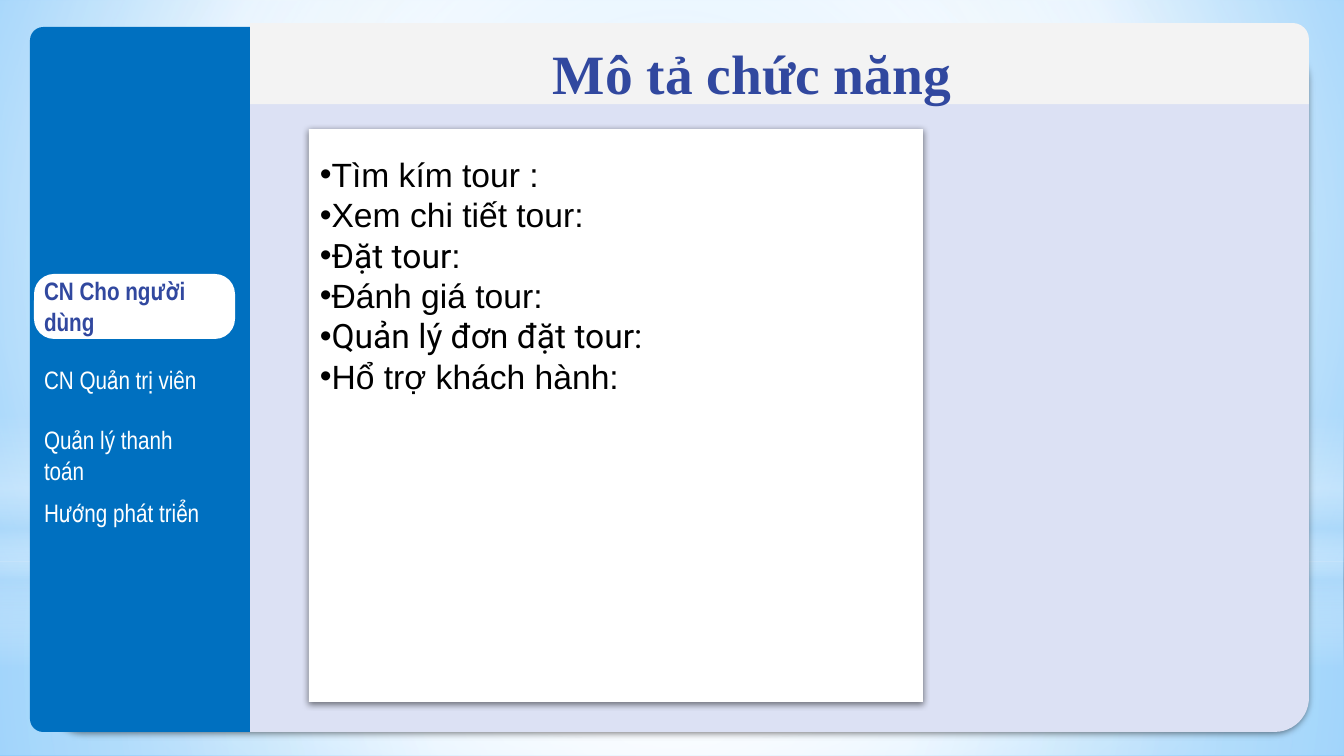
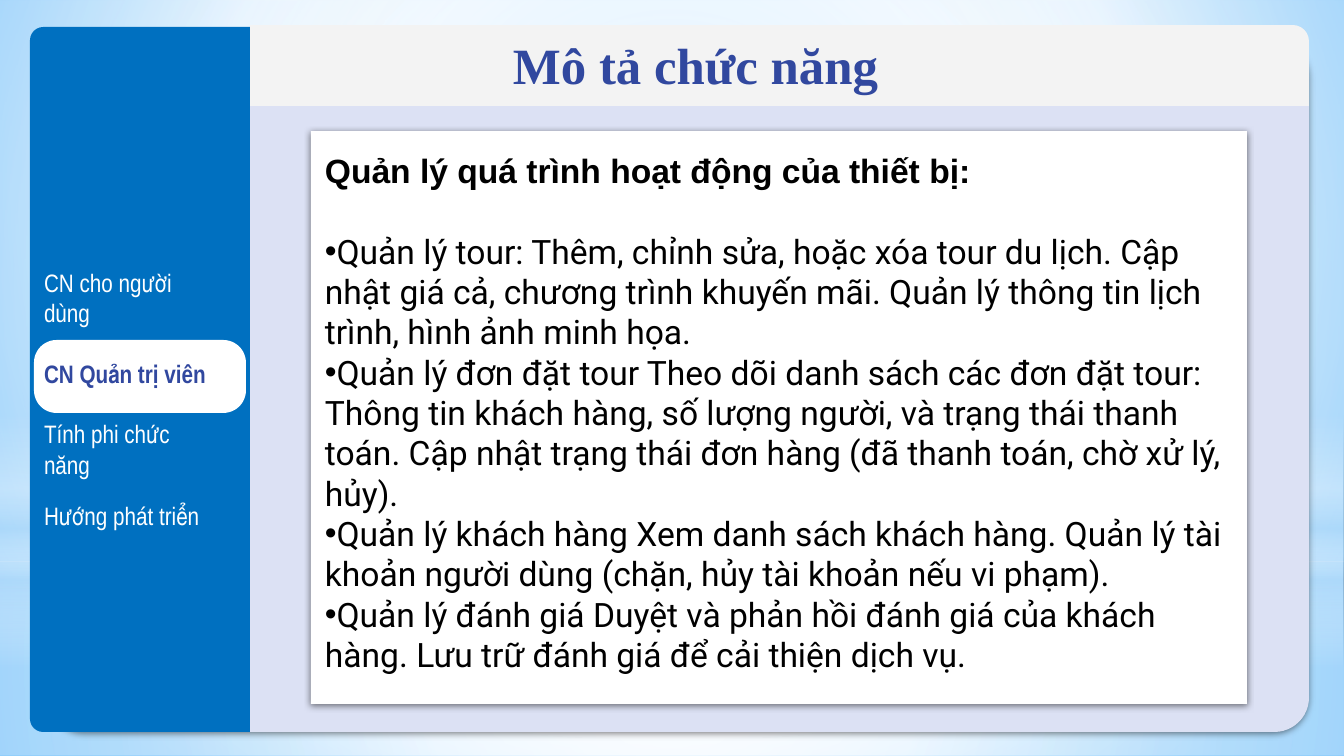
import pptx
import pptx.dml.color
import pptx.enum.shapes
import pptx.enum.text
import pptx.oxml
import pptx.oxml.ns
import pptx.util

WIDTH, HEIGHT = 1344, 756
EMU_PER_PX = 12192000 / WIDTH

BLUE, INK, WHITE, BLACK = "0070C0", "31489F", "FFFFFF", "000000"
PANEL, BAND, SKY = "DCE1F4", "F3F3F3", "B4DCFA"
TITLE_FONT, MENU_FONT = "Times New Roman", "Arial Narrow"
BODY_FONT, HEADING_FONT = "Roboto", "Arial"
BODY_SIZE = 24

SHAPES = pptx.enum.shapes.MSO_SHAPE
ANCHOR = pptx.enum.text.MSO_ANCHOR
DRAWING_NS = pptx.oxml.ns.nsdecls("a")
CENTER = (50, 50, 50, 50)


def px(length):
    return pptx.util.Emu(round(length * EMU_PER_PX))


def rgb(color):
    return pptx.dml.color.RGBColor.from_string(color)


def set_gradient(fill, element, stops, focus=None):
    """Fill with (position, colour, opacity) stops, circular around focus or else downwards."""
    fill.gradient()
    stop_xml = "".join(
        f'<a:gs pos="{pos * 1000}"><a:srgbClr val="{color}">'
        f'<a:alpha val="{opacity * 1000}"/></a:srgbClr></a:gs>'
        for pos, color, opacity in stops
    )
    if focus:
        left, top, right, bottom = (percent * 1000 for percent in focus)
        direction = (f'<a:path path="circle"><a:fillToRect l="{left}" t="{top}" '
                     f'r="{right}" b="{bottom}"/></a:path>')
    else:
        direction = '<a:lin ang="5400000" scaled="0"/>'
    gradient = pptx.oxml.parse_xml(
        f'<a:gradFill {DRAWING_NS} rotWithShape="1"><a:gsLst>{stop_xml}</a:gsLst>'
        f'{direction}</a:gradFill>'
    )
    plain = element.find(".//" + pptx.oxml.ns.qn("a:gradFill"))
    plain.getparent().replace(plain, gradient)


def add_block(slide, kind, left, top, width, height, color=None, rounding=None):
    block = slide.shapes.add_shape(kind, px(left), px(top), px(width), px(height))
    block.shadow.inherit = False
    block.line.fill.background()
    if color:
        block.fill.solid()
        block.fill.fore_color.rgb = rgb(color)
    if rounding is not None:
        block.adjustments[0] = rounding
    return block


def cast_shadow(block):
    effects = block.element.spPr.find(pptx.oxml.ns.qn("a:effectLst"))
    effects.append(pptx.oxml.parse_xml(
        f'<a:outerShdw {DRAWING_NS} blurRad="57150" dist="19050" dir="5400000" '
        f'algn="ctr" rotWithShape="0"><a:srgbClr val="{BLACK}">'
        f'<a:alpha val="50000"/></a:srgbClr></a:outerShdw>'
    ))


def add_text_frame(slide, left, top, width, height, anchor=ANCHOR.TOP):
    frame = slide.shapes.add_textbox(px(left), px(top), px(width), px(height)).text_frame
    frame.word_wrap = True
    frame.vertical_anchor = anchor
    return frame


def add_run(paragraph, text, font, size, color, bold=False):
    run = paragraph.add_run()
    run.text = text
    run.font.name = font
    run.font.size = pptx.util.Pt(size)
    run.font.bold = bold
    run.font.color.rgb = rgb(color)


def set_background(master):
    stops = [(0, "9ED5FF", 100), (60, WHITE, 100), (100, "5BB9FF", 100)]
    set_gradient(master.background.fill, master.element, stops, (20, 10, 20, 60))


def add_glow(slide):
    """Soft light that lies over the background."""
    horizon = 562
    layers = [
        (SHAPES.RECTANGLE, horizon, HEIGHT - horizon, CENTER,
         [(0, WHITE, 91), (37, WHITE, 76), (100, SKY, 79)]),
        (SHAPES.RECTANGLE, 0, horizon, CENTER,
         [(0, WHITE, 89), (48, WHITE, 62), (100, SKY, 79)]),
        (SHAPES.RECTANGLE, 415, 252, None,
         [(0, WHITE, 0), (29, WHITE, 30), (45, SKY, 40),
          (55, WHITE, 26), (65, SKY, 60), (100, WHITE, 0)]),
        (SHAPES.OVAL, 176, horizon, CENTER, [(0, WHITE, 100), (56, WHITE, 0)]),
    ]
    for kind, top, height, focus, stops in layers:
        layer = add_block(slide, kind, 0, top, WIDTH, height)
        set_gradient(layer.fill, layer.element, stops, focus)


def add_frame(slide, panel_top, band_top):
    """Panel, sidebar and title band."""
    left, divider, right, bottom = 30, 250, 1309, 732
    cast_shadow(add_block(slide, SHAPES.ROUNDED_RECTANGLE, 50, panel_top,
                          right - 50, bottom - panel_top, PANEL, 0.05))
    # A quarter turn brings the two rounded corners to the left side.
    width, height = divider - left, bottom - 27
    sidebar = add_block(slide, SHAPES.ROUND_2_SAME_RECTANGLE,
                        left + (width - height) / 2, 27 + (height - width) / 2,
                        height, width, BLUE, 0.06)
    sidebar.rotation = 270
    add_block(slide, SHAPES.ROUND_1_RECTANGLE, divider, band_top,
              right - divider, 81, BAND, 0.2)


def add_title(slide, text, left, top, size):
    frame = add_text_frame(slide, left, top, 463, 54)
    add_run(frame.paragraphs[0], text, TITLE_FONT, size, INK, bold=True)


def add_menu(slide, entries, active, pill):
    """Sidebar entries as (text, vertical centre), the active one on a white pill."""
    add_block(slide, SHAPES.ROUNDED_RECTANGLE, *pill, WHITE, 0.31)
    height, inset = 54, px(13)
    for index, (text, middle) in enumerate(entries):
        frame = add_text_frame(slide, 31, middle - height // 2, 196, height, ANCHOR.MIDDLE)
        frame.margin_left = frame.margin_right = inset
        frame.margin_top = frame.margin_bottom = inset
        chosen = index == active
        add_run(frame.paragraphs[0], text, MENU_FONT, 18, INK if chosen else WHITE, chosen)


def add_card(slide, left, top, width):
    cast_shadow(add_block(slide, SHAPES.RECTANGLE, left, top, width, 573, WHITE))


def add_bullet(paragraph):
    properties = paragraph._p.get_or_add_pPr()
    properties.set("marL", "0")
    properties.set("indent", "0")
    for tag in ('buFont typeface="Arial"', 'buChar char="•"'):
        name, attribute = tag.split()
        properties.append(pptx.oxml.parse_xml(f"<a:{name} {DRAWING_NS} {attribute}/>"))


def add_body(slide, box, items, heading=None):
    """Bulleted items, each a list of (text, font) runs, below an optional heading."""
    frame = add_text_frame(slide, *box)
    paragraph = frame.paragraphs[0]
    if heading:
        add_run(paragraph, heading, HEADING_FONT, BODY_SIZE, BLACK, bold=True)
        paragraph.space_after = pptx.util.Pt(BODY_SIZE * 1.2)
    for index, runs in enumerate(items):
        if heading or index:
            paragraph = frame.add_paragraph()
        add_bullet(paragraph)
        for text, font in runs:
            add_run(paragraph, text, font, BODY_SIZE, BLACK)


def add_user_slide(slide):
    add_glow(slide)
    add_frame(slide, panel_top=46, band_top=23)
    add_menu(slide, [
        ("CN Cho người dùng", 306),
        ("CN Quản trị viên", 379),
        ("Quản lý thanh toán", 455),
        ("Hướng phát triển", 512),
    ], active=0, pill=(34, 274, 201, 65))
    add_card(slide, 309, 129, 614)
    add_body(slide, (310, 149, 457, 336), [
        [("Tìm kím tour :", HEADING_FONT)],
        [("Xem chi tiết tour:", HEADING_FONT)],
        [("Đặt tour", BODY_FONT), (":", HEADING_FONT)],
        [("Đánh giá tour:", HEADING_FONT)],
        [("Quản lý đơn đặt tour:", BODY_FONT)],
        [("Hổ trợ khách hành:", HEADING_FONT)],
    ])
    add_title(slide, "Mô tả chức năng", 543, 34, 39.6)


def add_admin_slide(slide):
    add_glow(slide)
    add_frame(slide, panel_top=42, band_top=25)
    add_menu(slide, [
        ("CN cho người dùng", 297),
        ("CN Quản trị viên", 373),
        ("Tính phi chức năng", 449),
        ("Hướng phát triển", 515),
    ], active=1, pill=(34, 340, 212, 73))
    add_card(slide, 311, 131, 936)
    duties = [
        "Quản lý tour: Thêm, chỉnh sửa, hoặc xóa tour du lịch. Cập nhật giá cả, "
        "chương trình khuyến mãi. Quản lý thông tin lịch trình, hình ảnh minh họa.",
        "Quản lý đơn đặt tour Theo dõi danh sách các đơn đặt tour: Thông tin khách hàng, "
        "số lượng người, và trạng thái thanh toán. Cập nhật trạng thái đơn hàng "
        "(đã thanh toán, chờ xử lý, hủy).",
        "Quản lý khách hàng Xem danh sách khách hàng. Quản lý tài khoản người dùng "
        "(chặn, hủy tài khoản nếu vi phạm).",
        "Quản lý đánh giá Duyệt và phản hồi đánh giá của khách hàng. "
        "Lưu trữ đánh giá để cải thiện dịch vụ.",
    ]
    add_body(slide, (315, 145, 931, 539), [[(duty, BODY_FONT)] for duty in duties],
             heading="Quản lý quá trình hoạt động của thiết bị:")
    add_title(slide, "Mô tả chức năng", 503, 29, 36.3)


def main():
    presentation = pptx.Presentation()
    presentation.slide_width, presentation.slide_height = px(WIDTH), px(HEIGHT)
    set_background(presentation.slide_master)
    blank = presentation.slide_layouts[6]
    for build in (add_user_slide, add_admin_slide):
        build(presentation.slides.add_slide(blank))
    presentation.save("out.pptx")


if __name__ == "__main__":
    main()
